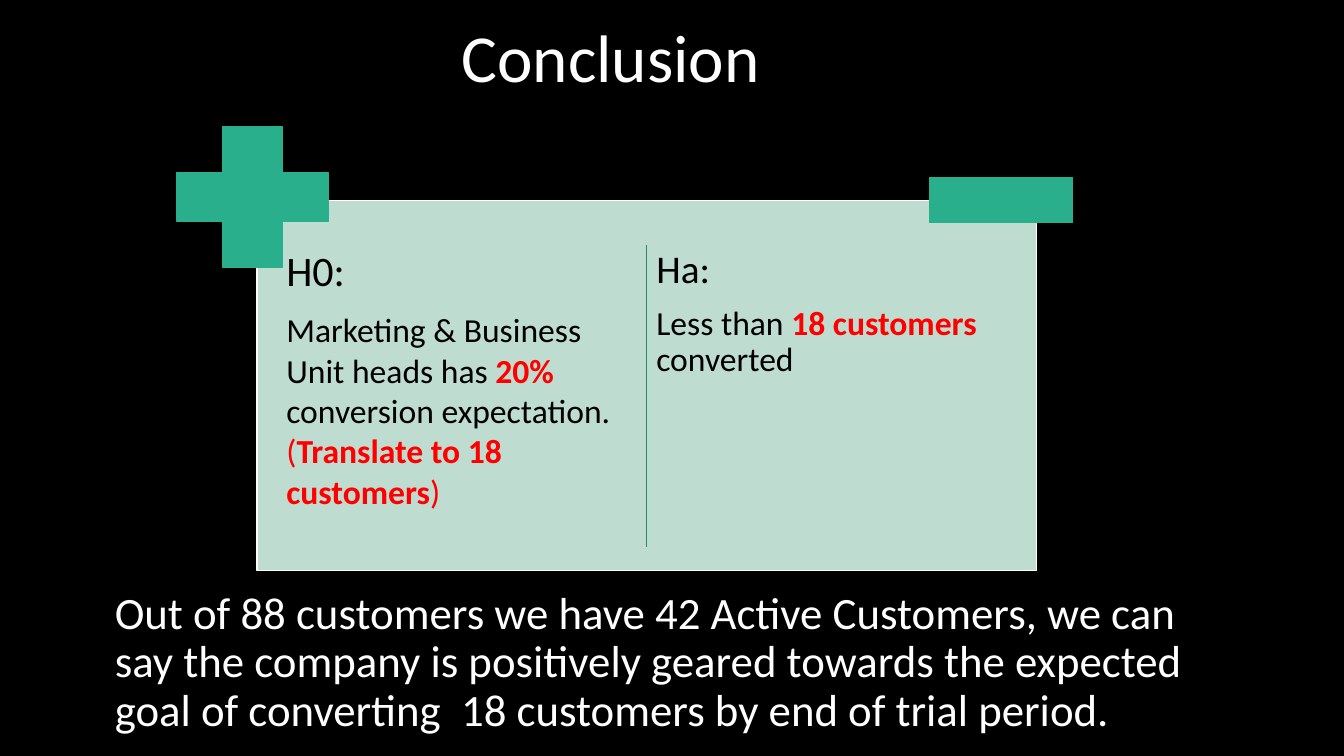
from dataclasses import dataclass

from lxml import etree
from pptx import Presentation
from pptx.dml.color import RGBColor
from pptx.enum.shapes import MSO_CONNECTOR, MSO_SHAPE
from pptx.enum.text import MSO_ANCHOR
from pptx.oxml.ns import qn
from pptx.util import Inches, Pt

RECT, PLUS = MSO_SHAPE.RECTANGLE, MSO_SHAPE.CROSS
STRAIGHT = MSO_CONNECTOR.STRAIGHT
TOP, MIDDLE = MSO_ANCHOR.TOP, MSO_ANCHOR.MIDDLE


@dataclass(frozen=True)
class Theme:
    """Colours, font and type sizes of the slide."""
    font: str = "Calibri"
    back: str = "000000"
    light: str = "FFFFFF"
    dark: str = "000000"
    alert: str = "FF0000"
    panel: str = "BEDCD0"
    sign: str = "29AF8C"
    divider: str = "218C70"
    title: int = 48
    summary: int = 32
    body: int = 24
    line: int = 1


THEME = Theme()


def rgb(value):
    """Turn a hex string into a colour."""
    return RGBColor.from_string(value)


def add_block(slide, shape_type, box, fill, line):
    """Add a filled preset shape."""
    s = slide.shapes.add_shape(shape_type, *map(Inches, box))
    s.shadow.inherit = False
    s.fill.solid()
    s.fill.fore_color.rgb = rgb(fill)
    s.line.color.rgb = rgb(line)
    s.line.width = Pt(THEME.line)
    return s


def add_text(slide, box, paragraphs, inset=(0.1, 0.05), anchor=TOP):
    """Add a text box of (size, colour, spacing, space after, runs) paragraphs."""
    tf = slide.shapes.add_textbox(*map(Inches, box)).text_frame
    tf.word_wrap = True
    tf.vertical_anchor = anchor
    tf.margin_left = tf.margin_right = Inches(inset[0])
    tf.margin_top = tf.margin_bottom = Inches(inset[1])
    for i, (size, colour, spacing, after, runs) in enumerate(paragraphs):
        p = tf.add_paragraph() if i else tf.paragraphs[0]
        p.font.name, p.font.size = THEME.font, Pt(size)
        p.font.color.rgb = rgb(colour)
        p.line_spacing, p.space_after = spacing, Pt(after)
        for text, alert, bold in runs:
            r = p.add_run()
            r.text = text
            if alert:
                r.font.color.rgb = rgb(THEME.alert)
            if bold:
                r.font.bold = True


def add_hypothesis(slide, box, heading, size, spacing, runs):
    """Add one column with a heading and a statement."""
    add_text(slide, box, [
        (size, THEME.dark, 0.9, 10, [(heading, False, False)]),
        (THEME.body, THEME.dark, spacing, 10, runs),
    ], inset=(0.06, 0.06))


def add_comparison(slide, box, columns):
    """Add the panel with two columns, a divider and the plus and minus signs."""
    x, y, w, h = box
    add_block(slide, RECT, box, THEME.panel, THEME.light)
    for i, column in enumerate(columns):
        add_hypothesis(slide, (x + 0.23 + i * 3.67, y + 0.43, 3.59, 3.14), *column)
    plus = add_block(slide, PLUS, (x - 0.8, y - 0.73, 1.51, 1.39),
                     THEME.sign, THEME.sign)
    plus.adjustments[0] = 0.328
    add_block(slide, RECT, (x + w - 1.06, y - 0.23, 1.42, 0.45),
              THEME.sign, THEME.sign)
    mid = x + w / 2
    line = slide.shapes.add_connector(
        STRAIGHT, *map(Inches, (mid, y + 0.44, mid, y + h - 0.23)))
    line.line.color.rgb = rgb(THEME.divider)
    line.line.width = Pt(THEME.line)
    etree.SubElement(line._element.spPr, qn("a:effectLst"))


def build_conclusion(slide):
    """Lay out the conclusion slide."""
    slide.background.fill.solid()
    slide.background.fill.fore_color.rgb = rgb(THEME.back)
    summary = ("Out of 88 customers we have 42 Active Customers, we can say the "
               "company is positively geared towards the expected goal of "
               "converting  18 customers by end of trial period.")
    add_text(slide, (1.04, 5.66, 11.39, 1.84),
             [(THEME.summary, THEME.light, 0.9, 0, [(summary, False, False)])],
             anchor=MIDDLE)
    add_comparison(slide, (2.55, 1.99, 7.73, 3.67), [
        ("H0:", 30, 1.0, [
            ("Marketing & Business Unit heads has ", False, False),
            ("20% ", True, True),
            ("conversion expectation. ", False, False),
            ("(", True, False),
            ("Translate to 18 customers", True, True),
            (")", True, False)]),
        ("Ha:", 28, 0.9, [
            ("Less than ", False, False),
            ("18 customers ", True, True),
            ("converted", False, False)]),
    ])
    add_text(slide, (4.48, 0.1, 3.43, 0.91),
             [(THEME.title, THEME.light, 1.0, 0, [("Conclusion", False, False)])])


def main():
    """Create and save the presentation."""
    prs = Presentation()
    prs.slide_width, prs.slide_height = Inches(13.33), Inches(7.5)
    build_conclusion(prs.slides.add_slide(prs.slide_layouts[6]))
    prs.save("out.pptx")


if __name__ == "__main__":
    main()
